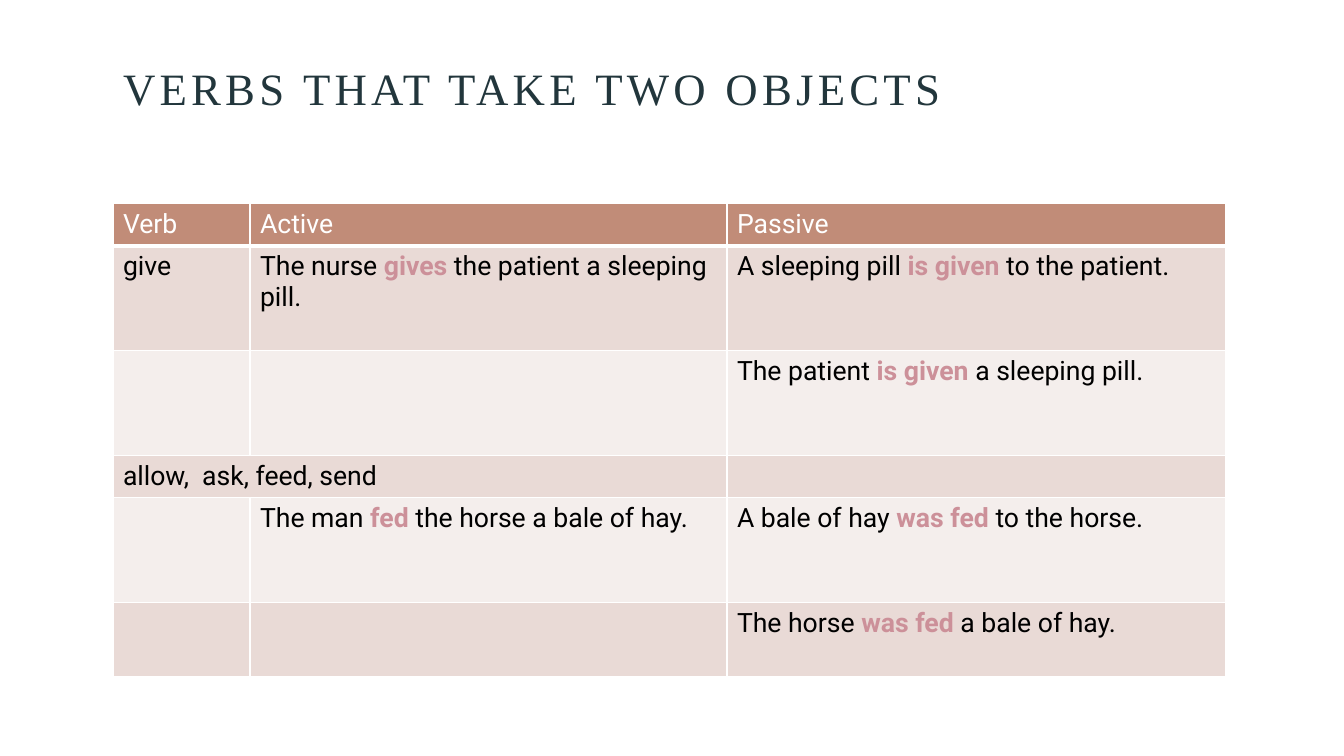
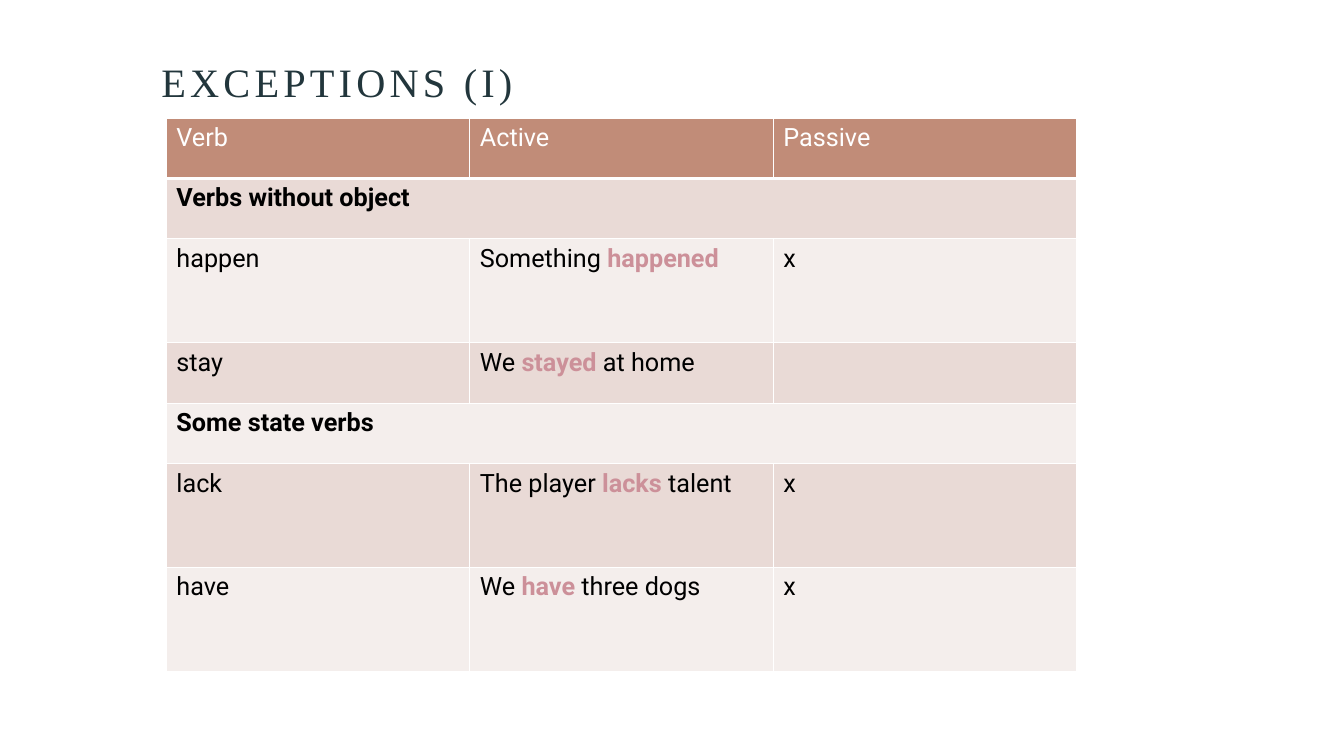
from lxml import etree
from pptx import Presentation
from pptx import util as u
from pptx.dml.color import RGBColor
from pptx.enum import text
from pptx.oxml.ns import qn

COLORS = {
    "title": "22363C",
    "header": "C18C78",
    "band_dark": "E9DAD6",
    "band_light": "F4EEEC",
    "border": "FFFFFF",
    "header_text": "FFFFFF",
    "body_text": "000000",
    "accent": "CC9099",
}
TITLE_FONT = "Times New Roman"
TABLE_FONT = "Roboto"
PX = u.Inches(1) // 100
SLIDE_SIZE = (1333, 750)
TITLE_SPACING = 3
BORDER_WIDTH = 1
HEADER_RULE_WIDTH = 3

RUN_STYLES = {
    "header": ("header_text", False),
    "plain": ("body_text", False),
    "strong": ("body_text", True),
    "verb": ("accent", True),
}

HEADER = ("Verb", "Active", "Passive")

# None continues the cell on its left.
SLIDES = [
    {
        "title": "VERBS THAT TAKE TWO OBJECTS",
        "title_box": (112, 31, 970, 88),
        "title_size": 32,
        "table_origin": (112, 202),
        "columns": (136, 473, 495),
        "row_heights": (42, 104, 104, 42, 104, 73),
        "table_size": 19,
        "rows": [
            ("give",
             [("The nurse ", "plain"), ("gives", "verb"), (" the patient a sleeping pill.", "plain")],
             [("A sleeping pill ", "plain"), ("is given ", "verb"), ("to the patient.", "plain")]),
            ("", "",
             [("The patient ", "plain"), ("is given ", "verb"), ("a sleeping pill.", "plain")]),
            ("allow,  ask, feed, send", None, ""),
            ("",
             [("The man ", "plain"), ("fed ", "verb"), ("the horse a bale of hay.", "plain")],
             [("A bale of hay ", "plain"), ("was fed ", "verb"), ("to the horse.", "plain")]),
            ("", "",
             [("The horse ", "plain"), ("was fed ", "verb"), ("a bale of hay.", "plain")]),
        ],
    },
    {
        "title": "EXCEPTIONS (I)",
        "title_box": (150, 75, 1038, 35),
        "title_size": 28.8,
        "table_origin": (165, 117),
        "columns": (301, 301, 301),
        "row_heights": (60, 60, 103, 60, 60, 103, 103),
        "table_size": 18,
        "rows": [
            ([("Verbs without object", "strong")], None, None),
            ("happen", [("Something ", "plain"), ("happened", "verb")], "x"),
            ("stay", [("We ", "plain"), ("stayed", "verb"), (" at home", "plain")], ""),
            ([("Some state verbs", "strong")], None, None),
            ("lack", [("The player ", "plain"), ("lacks", "verb"), (" talent", "plain")], "x"),
            ("have", [("We ", "plain"), ("have ", "verb"), ("three dogs", "plain")], "x"),
        ],
    },
]


def color(name):
    return RGBColor.from_string(COLORS[name])


def add_run(paragraph, words, font_name, size, color_name, bold=False):
    run = paragraph.add_run()
    run.text = words
    run.font.name = font_name
    run.font.size = u.Pt(size)
    run.font.bold = bold
    run.font.color.rgb = color(color_name)
    return run


def add_title(slide, content):
    title = slide.shapes.title
    title.left, title.top, title.width, title.height = (
        length * PX for length in content["title_box"])
    frame = title.text_frame
    frame.word_wrap = True
    frame.auto_size = text.MSO_AUTO_SIZE.NONE
    frame.vertical_anchor = text.MSO_ANCHOR.BOTTOM
    paragraph = frame.paragraphs[0]
    paragraph.alignment = text.PP_ALIGN.LEFT
    paragraph.line_spacing = 0.9
    run = add_run(paragraph, content["title"], TITLE_FONT, content["title_size"], "title")
    run.font._element.set("spc", str(TITLE_SPACING * 100))


def set_borders(cell, bottom_width):
    properties = cell._tc.get_or_add_tcPr()
    widths = {"lnL": BORDER_WIDTH, "lnR": BORDER_WIDTH, "lnT": BORDER_WIDTH, "lnB": bottom_width}
    for position, (side, width) in enumerate(widths.items()):
        line = etree.Element(qn(f"a:{side}"), w=str(u.Pt(width)))
        fill = etree.SubElement(line, qn("a:solidFill"))
        etree.SubElement(fill, qn("a:srgbClr"), val=COLORS["border"])
        properties.insert(position, line)


def fill_cell(cell, value, style, size):
    runs = [(value, style)] if isinstance(value, str) else value or []
    for words, run_style in runs:
        if words:
            add_run(cell.text_frame.paragraphs[0], words, TABLE_FONT, size, *RUN_STYLES[run_style])


def add_verb_table(slide, content):
    columns, heights = content["columns"], content["row_heights"]
    rows = [HEADER] + content["rows"]
    left, top = content["table_origin"]
    frame = slide.shapes.add_table(
        len(rows), len(columns), left * PX, top * PX, sum(columns) * PX, sum(heights) * PX)
    table = frame.table
    table.horz_banding = False
    for column, width in zip(table.columns, columns):
        column.width = width * PX
    for row_index, (values, height) in enumerate(zip(rows, heights)):
        table.rows[row_index].height = height * PX
        is_header = row_index == 0
        band = "header" if is_header else ("band_light", "band_dark")[row_index % 2]
        for column_index, value in enumerate(values):
            cell = table.cell(row_index, column_index)
            cell.fill.solid()
            cell.fill.fore_color.rgb = color(band)
            set_borders(cell, HEADER_RULE_WIDTH if is_header else BORDER_WIDTH)
            fill_cell(cell, value, "header" if is_header else "plain", content["table_size"])
        if None in values:
            last_merged = max(index for index, value in enumerate(values) if value is None)
            first = values.index(None) - 1
            table.cell(row_index, first).merge(table.cell(row_index, last_merged))


def main():
    presentation = Presentation()
    presentation.slide_width, presentation.slide_height = (length * PX for length in SLIDE_SIZE)
    title_only = presentation.slide_layouts[5]
    for content in SLIDES:
        slide = presentation.slides.add_slide(title_only)
        add_title(slide, content)
        add_verb_table(slide, content)
    presentation.save("out.pptx")


if __name__ == "__main__":
    main()
